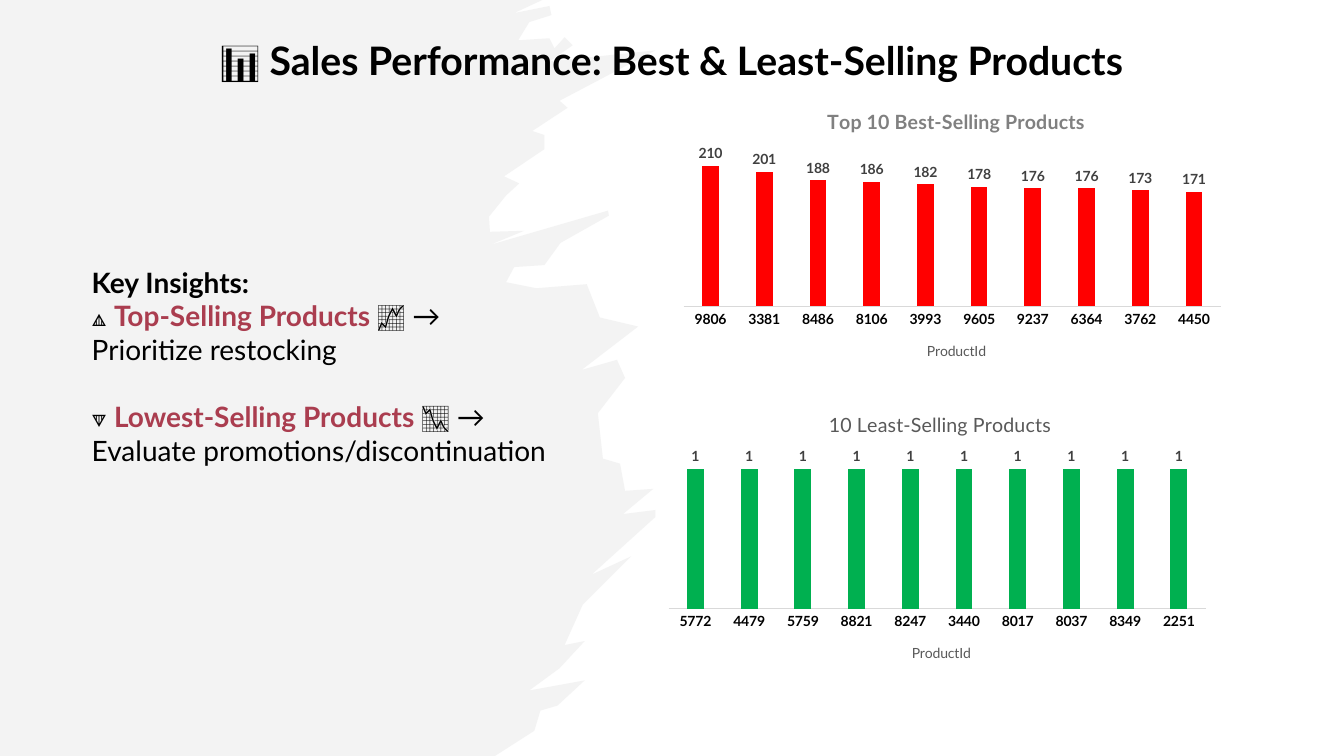
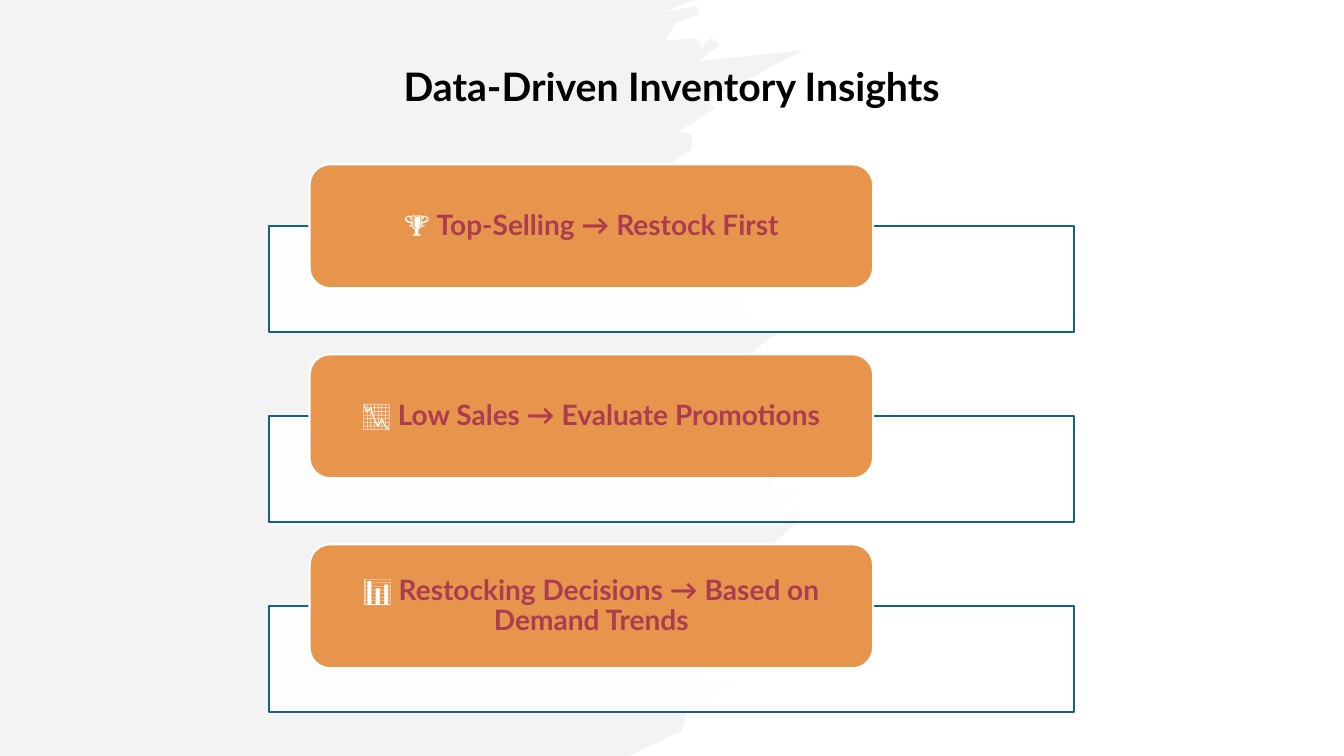
from lxml.etree import SubElement
from pptx import Presentation
from pptx.chart.data import CategoryChartData
from pptx.dml.color import RGBColor
from pptx.enum.chart import XL_CHART_TYPE as ChartType, XL_LABEL_POSITION as LabelAt, XL_TICK_MARK as Tick
from pptx.enum.shapes import MSO_SHAPE as Preset
from pptx.enum.text import MSO_ANCHOR as Anchor, MSO_AUTO_SIZE as AutoSize, PP_ALIGN as Align
from pptx.oxml import parse_xml
from pptx.oxml.ns import nsdecls, qn
from pptx.util import Inches, Pt

# ---- Content ----
INSIGHTS = [
    [("Key Insights:", "black", True)],
    [("🔼 ", "black", False), ("Top-Selling Products ", "accent", True),
     ("📈 → Prioritize restocking", "black", False)],
    [("🔽 ", "black", False), ("Lowest-Selling Products ", "accent", True),
     ("📉 → Evaluate promotions/discontinuation", "black", False)],
]
CHARTS = [
    dict(title="10 Least-Selling Products", color="grey", bold=False, title_x=0.3,
         left=6.52, top=3.86, bars="green", peak=1.2, values=[1] * 10,
         products="5772 4479 5759 8821 8247 3440 8017 8037 8349 2251"),
    dict(title="Top 10 Best-Selling Products", color="mid_grey", bold=True, title_x=0.27,
         left=6.67, top=0.86, bars="red", peak=250,
         values=[210, 201, 188, 186, 182, 178, 176, 176, 173, 171],
         products="9806 3381 8486 8106 3993 9605 9237 6364 3762 4450"),
]
ACTIONS = [
    ("🏆 ", "Top-Selling → Restock First"),
    ("📉 ", "Low Sales → Evaluate Promotions"),
    ("📊 ", "Restocking Decisions → Based on Demand Trends"),
]

# ---- Shared look ----
FONT = "Lato"
WIDTH, HEIGHT = 13.33, 7.5
COLORS = dict(black="000000", white="FFFFFF", accent="AA3D4F", brush="E8E8E8", grey="595959",
              mid_grey="808080", dark_grey="404040", axis="D9D9D9", green="00B050", red="FF0000",
              orange="E7954D", frame="156082")
# Ragged brush edge, bottom to top
EDGE = [
    (5.3, 7.25), (5.36, 7.05), (5.53, 7), (5.8, 6.75), (5.25, 6.85), (5.55, 6.63), (5.8, 6.36),
    (5.6, 6.4), (5.78, 6), (6.26, 5.52), (5.87, 5.7), (6.5, 5.13), (6.5, 5.06), (6.18, 5.1),
    (6.48, 4.85), (6.2, 4.87), (6.15, 4.6), (5.98, 4.55), (5.93, 4.1), (6.2, 3.75), (6.12, 3.57),
    (5.77, 3.67), (6.33, 3.24), (5.95, 3.15), (5.82, 2.82), (5.32, 2.86), (5.02, 2.8),
    (5.1, 2.65), (5.4, 2.63), (5.56, 2.41), (6.04, 2.14), (6.03, 2.09), (4.86, 2.43),
    (5.2, 2.29), (4.86, 2.3), (4.85, 2.15), (5.02, 1.94), (5.15, 1.82), (5, 1.75), (5.4, 1.48),
    (5.4, 1.34), (5.28, 1.3), (5.63, 1.07), (5.55, 1), (6.5, 0.5), (5.45, 0.61), (5.68, 0.45),
    (5.6, 0.37), (5.5, 0.48), (5.45, 0.38), (5.14, 0.4), (5.25, 0.22), (5.47, 0.15),
    (5.45, 0.06), (5.1, 0.13),
]


def rgb(name):
    return RGBColor.from_string(COLORS[name])


def set_all(target, **values):
    for attribute, value in values.items():
        setattr(target, attribute, value)


def style(font, size, color="black", bold=False):
    set_all(font, name=FONT, size=Pt(size), bold=bold)
    font.color.rgb = rgb(color)


def write(paragraph, runs, size):
    for text, color, bold in runs:
        run = paragraph.add_run()
        run.text = text
        style(run.font, size, color, bold)


def place(shape, left, top, width, height):
    set_all(shape, left=Inches(left), top=Inches(top), width=Inches(width), height=Inches(height))


def paint(shape, fill, alpha=None, line=None):
    shape.shadow.inherit = False
    shape.fill.solid()
    shape.fill.fore_color.rgb = rgb(fill)
    if alpha:
        color = shape._element.spPr.find(qn("a:solidFill"))[0]
        SubElement(color, qn("a:alpha"), val=str(alpha * 1000))
    if line:
        shape.line.color.rgb = rgb(line)
        shape.line.width = Pt(1.5)
    else:
        shape.line.fill.background()


def add_brush(slide, top_x, bottom_x, shift=0.0):
    outline = [(0, HEIGHT), (bottom_x, HEIGHT)]
    outline += [(x + shift, y) for x, y in EDGE]
    outline.append((top_x, 0))
    builder = slide.shapes.build_freeform(0, 0, scale=1.0)
    builder.add_line_segments([(Inches(x), Inches(y)) for x, y in outline], close=True)
    brush = builder.convert_to_shape()
    paint(brush, "brush", alpha=50)
    slide.shapes._spTree.insert(2, brush._element)  # behind the placeholders


def add_title(slide, box, runs):
    title = slide.shapes.title
    place(title, *box)
    set_all(title.text_frame, vertical_anchor=Anchor.MIDDLE, auto_size=AutoSize.NONE, word_wrap=True)
    paragraph = title.text_frame.paragraphs[0]
    set_all(paragraph, alignment=Align.CENTER, line_spacing=0.9)
    write(paragraph, runs, 28)


def set_layout(element, index, **shares):
    """Fix a chart part at shares of the chart's size."""
    for old in element.findall(qn("c:layout")):
        element.remove(old)
    modes = dict(xMode="edge", yMode="edge", **shares)
    if "w" in shares:
        modes = dict(layoutTarget="inner", **modes)
    rows = "".join(f'<c:{key} val="{value}"/>' for key, value in modes.items())
    element.insert(index, parse_xml(
        f'<c:layout {nsdecls("c")}><c:manualLayout>{rows}</c:manualLayout></c:layout>'))


def add_caption(owner, text, x, y, size, color, bold=False):
    owner.has_title = True
    caption = owner.chart_title if hasattr(owner, "chart_title") else owner.axis_title
    write(caption.text_frame.paragraphs[0], [(text, color, bold)], size)
    set_layout(caption._element, 1, x=x, y=y)


def add_sales_chart(slide, sales):
    data = CategoryChartData()
    data.categories = sales["products"].split()
    data.add_series("Series 1", sales["values"])
    chart = slide.shapes.add_chart(ChartType.COLUMN_CLUSTERED, Inches(sales["left"]),
                                   Inches(sales["top"]), Inches(5.55), Inches(2.87), data).chart
    chart.has_legend = False
    style(chart.font, 10)
    add_caption(chart, sales["title"], sales["title_x"], 0.06, 14, sales["color"], sales["bold"])

    products = chart.category_axis
    add_caption(products, "ProductId", 0.45, 0.87, 10, "grey")
    set_all(products, major_tick_mark=Tick.NONE, minor_tick_mark=Tick.NONE, has_major_gridlines=False)
    style(products.tick_labels.font, 10, bold=True)
    products.format.line.color.rgb = rgb("axis")
    products.format.line.width = Pt(0.75)
    set_all(chart.value_axis, visible=False, has_major_gridlines=False,
            minimum_scale=0, maximum_scale=sales["peak"])

    plot = chart.plots[0]
    set_all(plot, gap_width=219, overlap=-27, vary_by_categories=False, has_data_labels=True)
    set_all(plot.data_labels, show_value=True, position=LabelAt.OUTSIDE_END)
    style(plot.data_labels.font, 10, "dark_grey", True)
    bars = plot.series[0].format.fill
    bars.solid()
    bars.fore_color.rgb = rgb(sales["bars"])
    set_layout(chart._chartSpace.xpath("c:chart/c:plotArea")[0], 0, x=0.02, y=0.18, w=0.96, h=0.58)


def add_insights(slide):
    body = slide.placeholders[1]
    place(body, 0.81, 2.58, 4.74, 3.36)
    frame = body.text_frame
    set_all(frame, auto_size=AutoSize.NONE, word_wrap=True, vertical_anchor=Anchor.TOP)
    for index, runs in enumerate(INSIGHTS):
        paragraph = frame.add_paragraph() if index else frame.paragraphs[0]
        set_all(paragraph, alignment=Align.LEFT, space_before=Pt(24 if index == 2 else 0))
        properties = paragraph._p.get_or_add_pPr()
        properties.set("marL", "0")
        properties.set("indent", "0")
        SubElement(properties, qn("a:buNone"))
        write(paragraph, runs, 20)


def add_action(slide, row, icon, text):
    top = 1.63 + row * 1.885
    frame = slide.shapes.add_shape(Preset.RECTANGLE, 0, 0, 0, 0)
    place(frame, 2.67, top + 0.61, 7.98, 1.05)
    paint(frame, "white", alpha=90, line="frame")
    card = slide.shapes.add_shape(Preset.ROUNDED_RECTANGLE, 0, 0, 0, 0)
    place(card, 3.07, top, 5.59, 1.23)
    paint(card, "orange", line="white")
    set_all(card.text_frame, word_wrap=True, vertical_anchor=Anchor.MIDDLE, margin_top=0,
            margin_bottom=0, margin_left=Inches(0.21), margin_right=Inches(0.21))
    paragraph = card.text_frame.paragraphs[0]
    set_all(paragraph, alignment=Align.CENTER, line_spacing=0.9)
    write(paragraph, [(icon, "white", row == 0), (text, "accent", True)], 20)


def main():
    deck = Presentation()
    set_all(deck, slide_width=Inches(WIDTH), slide_height=Inches(HEIGHT))

    # Sales performance
    sales = deck.slides.add_slide(deck.slide_layouts[1])
    add_brush(sales, top_x=5.38, bottom_x=4.91)
    add_insights(sales)
    for chart in CHARTS:
        add_sales_chart(sales, chart)
    add_title(sales, (1.83, 0.23, 9.66, 0.79), [
        ("📊 ", "black", False), ("Sales Performance: Best & Least-Selling Products", "black", True)])

    # Inventory insights
    inventory = deck.slides.add_slide(deck.slide_layouts[5])
    add_brush(inventory, top_x=6.88, bottom_x=6.24, shift=1.46)
    add_title(inventory, (2.04, 0.4, 9.24, 0.96), [("Data-Driven Inventory Insights", "black", True)])
    for row, (icon, text) in enumerate(ACTIONS):
        add_action(inventory, row, icon, text)

    deck.save("out.pptx")


if __name__ == "__main__":
    main()
